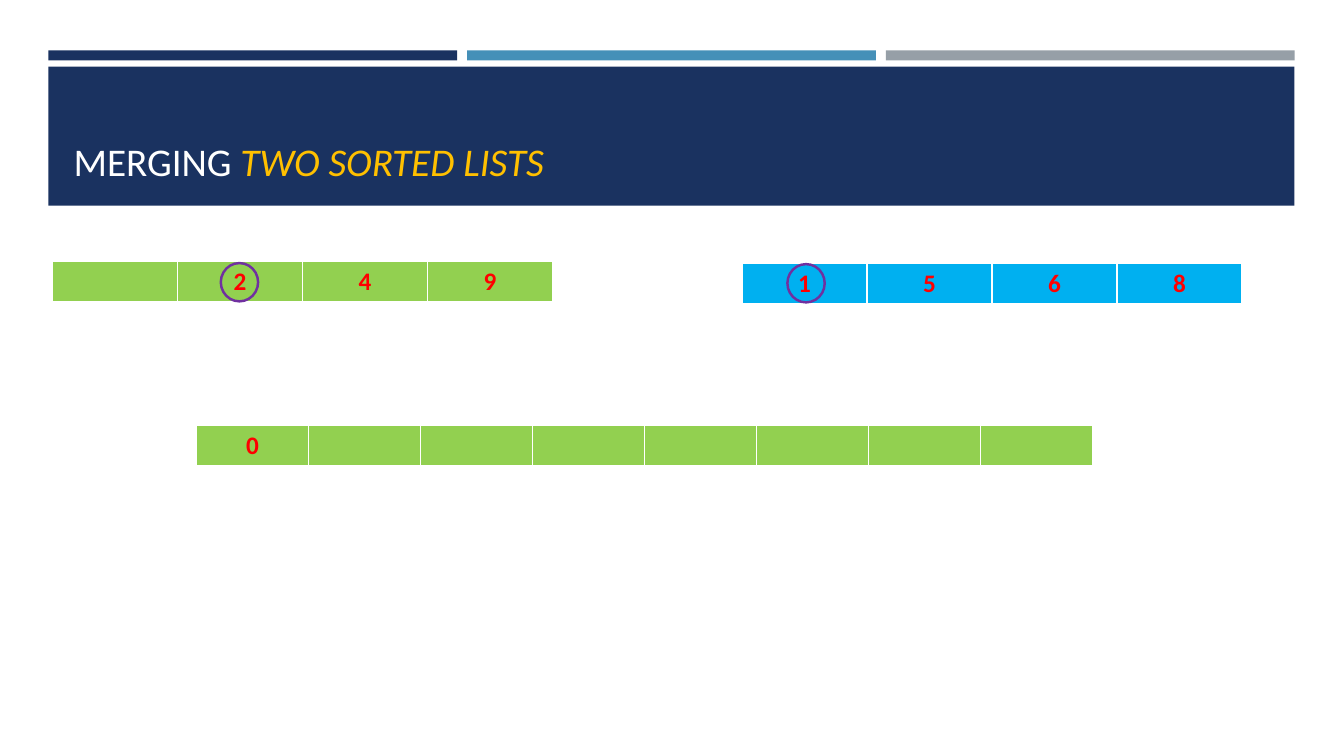
from lxml import etree
from pptx import Presentation
from pptx.dml.color import RGBColor
from pptx.enum import shapes, text
from pptx.oxml.ns import qn
from pptx.util import Inches, Pt

NAVY = RGBColor(0x1A, 0x32, 0x60)
STEEL = RGBColor(0x45, 0x90, 0xB8)
GRAY = RGBColor(0x96, 0x9F, 0xA7)
WHITE = RGBColor(0xFF, 0xFF, 0xFF)
GOLD = RGBColor(0xFF, 0xC0, 0x00)
GREEN = RGBColor(0x92, 0xD0, 0x50)
BLUE = RGBColor(0x00, 0xB0, 0xF0)
RED = RGBColor(0xFF, 0x00, 0x00)
PURPLE = RGBColor(0x70, 0x30, 0xA0)
FONT = "Calibri"


def add_block(s, left, top, width, height, color):
    sp = s.shapes.add_shape(shapes.MSO_SHAPE.RECTANGLE, Inches(left), Inches(top),
                            Inches(width), Inches(height))
    sp.shadow.inherit = False
    sp.fill.solid()
    sp.fill.fore_color.rgb = color
    sp.line.fill.background()


def add_header(s, left, top, width, height):
    gap = 0.1
    bar_width = (width - 2 * gap) / 3
    for i, color in enumerate((NAVY, STEEL, GRAY)):
        add_block(s, left + i * (bar_width + gap), top, bar_width, 0.1, color)
    add_block(s, left, top + 0.16, width, height - 0.16, NAVY)

    title = s.shapes.title
    title._element.getparent().append(title._element)
    title.left, title.top = Inches(left + 0.15), Inches(top + 0.3)
    title.width, title.height = Inches(width - 0.3), Inches(1.08)
    tf = title.text_frame
    tf.word_wrap = True
    tf.auto_size = text.MSO_AUTO_SIZE.NONE
    tf.vertical_anchor = text.MSO_ANCHOR.BOTTOM
    p = tf.paragraphs[0]
    p.alignment = text.PP_ALIGN.LEFT
    for wording, color, italic in (("MERGING ", WHITE, False),
                                   ("TWO SORTED LISTS", GOLD, True)):
        r = p.add_run()
        r.text = wording
        r.font.name = FONT
        r.font.size = Pt(28)
        r.font.color.rgb = color
        r.font.italic = italic


def add_borders(cell):
    tc_pr = cell._tc.get_or_add_tcPr()
    for i, (side, points) in enumerate((("L", 1), ("R", 1), ("T", 1), ("B", 3))):
        ln = etree.Element(qn(f"a:ln{side}"), w=str(Pt(points)))
        fill = etree.SubElement(ln, qn("a:solidFill"))
        etree.SubElement(fill, qn("a:srgbClr"), val=str(WHITE))
        tc_pr.insert(i, ln)


def add_list(s, left, top, width, height, values, color):
    frame = s.shapes.add_table(1, len(values), Inches(left), Inches(top),
                               Inches(width), Inches(height))
    table = frame.table
    for i, value in enumerate(values):
        table.columns[i].width = Inches(width / len(values))
        cell = table.cell(0, i)
        cell.fill.solid()
        cell.fill.fore_color.rgb = color
        add_borders(cell)
        p = cell.text_frame.paragraphs[0]
        p.text = value
        p.alignment = text.PP_ALIGN.CENTER
        p.font.size = Pt(18)
        for r in p.runs:
            r.font.name = FONT
            r.font.size = Pt(18)
            r.font.bold = True
            r.font.color.rgb = RED


def add_ring(s, left, top):
    sp = s.shapes.add_shape(shapes.MSO_SHAPE.OVAL, Inches(left), Inches(top),
                            Inches(0.37), Inches(0.38))
    sp.shadow.inherit = False
    sp.fill.background()
    sp.line.color.rgb = PURPLE
    sp.line.width = Pt(1.75)


def main():
    prs = Presentation()
    prs.slide_width, prs.slide_height = Inches(13.33), Inches(7.5)
    s = prs.slides.add_slide(prs.slide_layouts[5])
    add_header(s, 0.48, 0.5, 12.36, 1.54)
    add_list(s, 0.52, 2.59, 4.96, 0.41, ["", "2", "4", "9"], GREEN)
    add_list(s, 7.36, 2.61, 4.96, 0.41, ["1", "5", "6", "8"], BLUE)
    add_ring(s, 2.19, 2.61)
    add_ring(s, 7.81, 2.62)
    add_list(s, 1.95, 4.22, 8.89, 0.41, ["0"] + [""] * 7, GREEN)
    prs.save("out.pptx")


if __name__ == "__main__":
    main()
